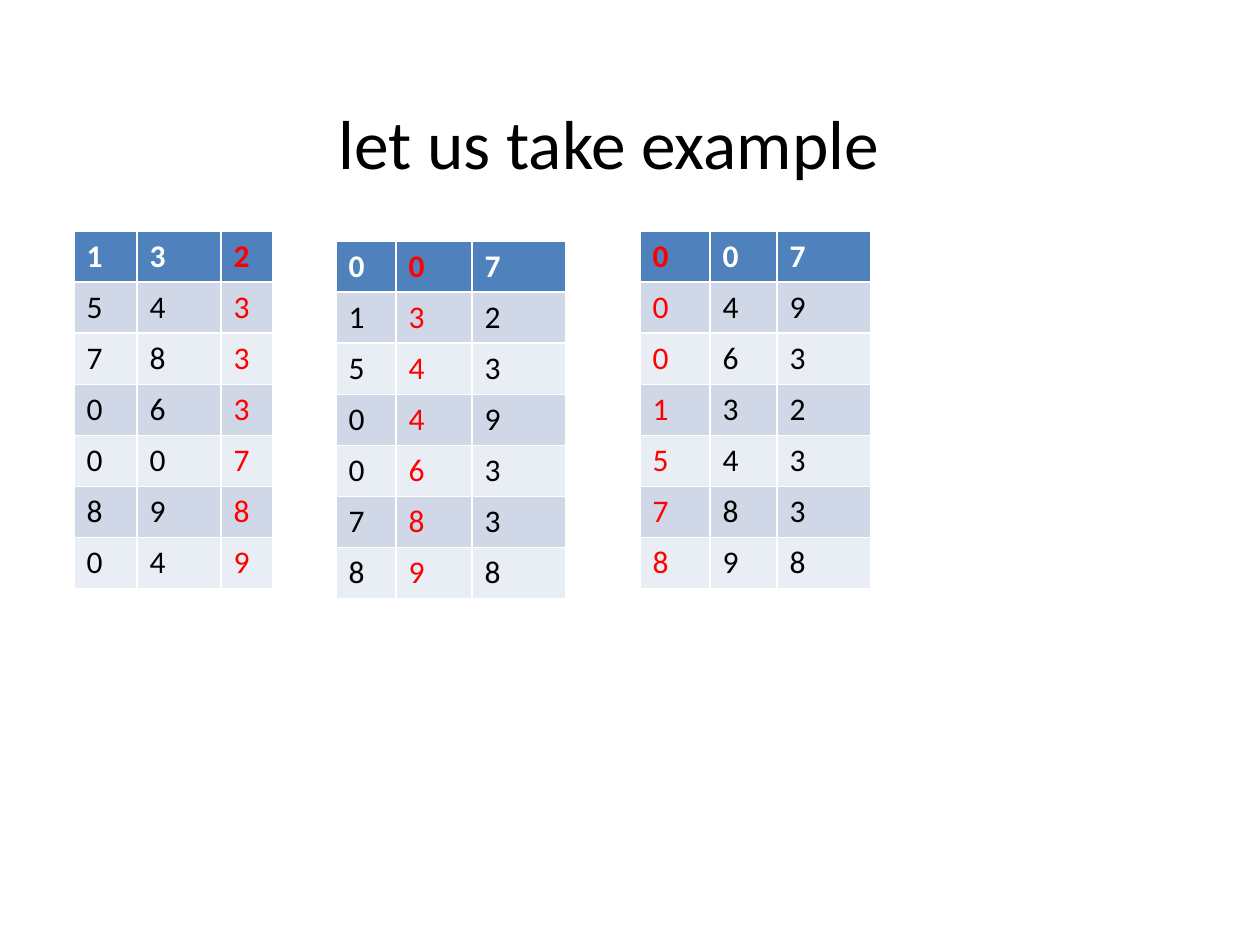
import dataclasses

import pptx
import pptx.dml.color
import pptx.enum.text
import pptx.util


@dataclasses.dataclass
class Theme:
    """Colours, font and type sizes of the slide."""
    font: str = "Calibri"
    title_size: float = 39.6
    cell_size: float = 18
    text: str = "000000"
    header_text: str = "FFFFFF"
    sorted_digit: str = "FF0000"
    header_fill: str = "4F81BD"
    bands: tuple = ("E9EDF4", "D0D8E8")


def px(length):
    """Turn pixels of the 126 dpi layout into EMU."""
    return pptx.util.Emu(round(length * 914400 / 126))


def add_run(paragraph, text, size, color, bold=False):
    """Add one formatted run to a paragraph."""
    run = paragraph.add_run()
    run.text = text
    run.font.name = theme.font
    run.font.size = pptx.util.Pt(size)
    run.font.bold = bold
    run.font.color.rgb = pptx.dml.color.RGBColor.from_string(color)


theme = Theme()
presentation = pptx.Presentation()
presentation.slide_width = px(1260)
presentation.slide_height = px(945)
slide = presentation.slides.add_slide(presentation.slide_layouts[5])

title = slide.shapes.title
title.left, title.top, title.width, title.height = px(42), px(63), px(1134), px(158)
title.text_frame.vertical_anchor = pptx.enum.text.MSO_ANCHOR.MIDDLE
paragraph = title.text_frame.paragraphs[0]
paragraph.alignment = pptx.enum.text.PP_ALIGN.CENTER
add_run(paragraph, "let us take example", theme.title_size, theme.text)

# Each pass of the radix sort: left, top, column widths, digit sorted on
passes = [
    (74, 231, (63, 84, 52), 2),
    (336, 241, (60, 76, 94), 1),
    (640, 231, (70, 67, 94), 0),
]
row_height = 51
numbers = ["132", "543", "783", "063", "007", "898", "049"]

for left, top, widths, sorted_column in passes:
    numbers = sorted(numbers, key=lambda number: number[sorted_column])
    table = slide.shapes.add_table(
        len(numbers), len(widths), px(left), px(top),
        px(sum(widths)), px(row_height * len(numbers))).table
    for column, width in zip(table.columns, widths):
        column.width = px(width)
    for row_index, number in enumerate(numbers):
        table.rows[row_index].height = px(row_height)
        is_header = row_index == 0
        fill = theme.header_fill if is_header else theme.bands[row_index % 2]
        row_color = theme.header_text if is_header else theme.text
        for column_index, digit in enumerate(number):
            cell = table.cell(row_index, column_index)
            cell.fill.solid()
            cell.fill.fore_color.rgb = pptx.dml.color.RGBColor.from_string(fill)
            color = theme.sorted_digit if column_index == sorted_column else row_color
            add_run(cell.text_frame.paragraphs[0], digit, theme.cell_size, color, is_header)

presentation.save("out.pptx")
